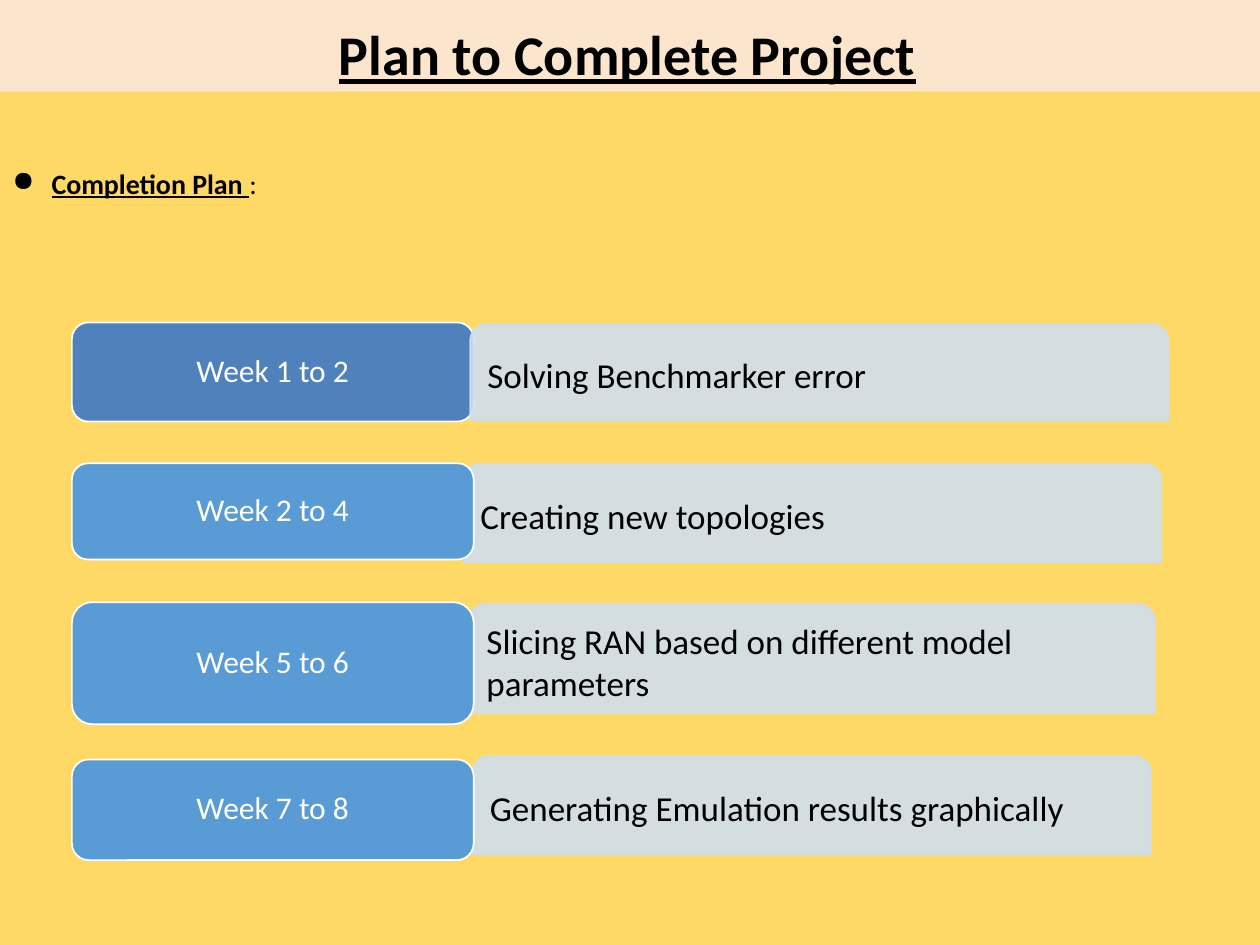
from lxml.etree import SubElement
from pptx import Presentation
from pptx.dml.color import RGBColor
from pptx.enum.shapes import MSO_SHAPE as Preset
from pptx.enum.text import MSO_ANCHOR as Anchor, MSO_AUTO_SIZE as AutoSize, PP_ALIGN as Align
from pptx.oxml.ns import qn
from pptx.util import Cm, Pt

COLORS = {
    "background": "FCE5CD",
    "body": "FFD966",
    "first_week": "4F81BD",
    "week": "599BD5",
    "task": "CFDEEF",
    "dark": "000000",
    "light": "FFFFFF",
}
FONT = "Calibri"
TASK_ALPHA = 89
WEEK_LEFT, WEEK_WIDTH = 1.45, 8.1
ROWS = [
    ("Week 1 to 2", (6.5, 2), "Solving Benchmarker error", (9.48, 6.54, 14.07, 1.94)),
    ("Week 2 to 4", (9.34, 1.94), "Creating new topologies", (9.34, 9.35, 14.07, 1.98)),
    ("Week 5 to 6", (12.14, 2.46), "Slicing RAN based on different model parameters",
     (9.45, 12.17, 13.84, 2.21)),
    ("Week 7 to 8", (15.31, 2.03), "Generating Emulation results graphically",
     (9.53, 15.24, 13.67, 1.98)),
]


def rgb(name):
    """Return the named colour."""
    return RGBColor.from_string(COLORS[name])


def add_run(paragraph, text, size, color, bold=False, underline=False):
    """Append one formatted run."""
    run = paragraph.add_run()
    run.text = text
    font = run.font
    font.name, font.size = FONT, Pt(size)
    font.bold, font.underline = bold, underline
    font.color.rgb = rgb(color)


def set_alpha(fill_format, percent):
    """Make a solid fill partly transparent."""
    color = fill_format._xPr.find(qn("a:solidFill"))[0]
    SubElement(color, qn("a:alpha"), val=str(percent * 1000))


def add_block(slide, preset, box, fill, line=None):
    """Add a filled preset shape in a box given in centimetres."""
    shape = slide.shapes.add_shape(preset, *map(Cm, box))
    shape.shadow.inherit = False
    shape.fill.solid()
    shape.fill.fore_color.rgb = rgb(fill)
    if line:
        shape.line.color.rgb = rgb(line)
        shape.line.width = Pt(1)
    else:
        shape.line.fill.background()
    shape.text_frame.word_wrap = True
    return shape


def add_title(slide, box, text):
    """Place and format the title placeholder."""
    title = slide.shapes.title
    title.left, title.top, title.width, title.height = map(Cm, box)
    frame = title.text_frame
    frame.auto_size = AutoSize.NONE
    frame.vertical_anchor = Anchor.BOTTOM
    paragraph = frame.paragraphs[0]
    paragraph.alignment = Align.CENTER
    paragraph.line_spacing = 0.9
    add_run(paragraph, text, 32, "dark", bold=True, underline=True)


def add_body(slide, box):
    """Add the body panel with its bulleted heading."""
    frame = add_block(slide, Preset.RECTANGLE, box, "body").text_frame
    frame.vertical_anchor = Anchor.TOP
    frame.margin_top = Cm(1.5)
    paragraph = frame.paragraphs[0]
    paragraph.alignment = Align.JUSTIFY
    properties = paragraph._p.get_or_add_pPr()
    properties.set("marL", str(Cm(0.79)))
    properties.set("indent", str(Cm(-0.79)))
    bullet_color = SubElement(properties, qn("a:buClr"))
    SubElement(bullet_color, qn("a:srgbClr"), val=COLORS["dark"])
    SubElement(properties, qn("a:buChar"), char="●")
    add_run(paragraph, "Completion Plan ", 16, "dark", bold=True, underline=True)
    add_run(paragraph, ": ", 16, "dark")


def add_week(slide, box, text, fill):
    """Add the rounded label of a week."""
    shape = add_block(slide, Preset.ROUNDED_RECTANGLE, box, fill, "light")
    frame = shape.text_frame
    frame.vertical_anchor = Anchor.MIDDLE
    paragraph = frame.paragraphs[0]
    paragraph.alignment = Align.CENTER
    paragraph.line_spacing = 0.9
    add_run(paragraph, text, 18, "light")


def add_task(slide, box, text):
    """Add the translucent panel of a task."""
    shape = add_block(slide, Preset.ROUND_2_SAME_RECTANGLE, box, "task", "task")
    set_alpha(shape.fill, TASK_ALPHA)
    set_alpha(shape.line.fill, TASK_ALPHA)
    frame = shape.text_frame
    frame.vertical_anchor = Anchor.MIDDLE
    frame.margin_left = frame.margin_right = Cm(0.25)
    frame.margin_top = frame.margin_bottom = Cm(0.25)
    paragraph = frame.paragraphs[0]
    paragraph.alignment = Align.LEFT
    add_run(paragraph, text, 20, "dark")


def add_plan(slide, rows):
    """Add the rows, with the first task in front of its week."""
    for week, (top, height), task, task_box in rows:
        week_box = (WEEK_LEFT, top, WEEK_WIDTH, height)
        if week == rows[0][0]:
            add_week(slide, week_box, week, "first_week")
            add_task(slide, task_box, task)
        else:
            add_task(slide, task_box, task)
            add_week(slide, week_box, week, "week")


def main():
    """Build and save the presentation."""
    presentation = Presentation()
    presentation.slide_width, presentation.slide_height = Cm(25.4), Cm(19.05)
    slide = presentation.slides.add_slide(presentation.slide_layouts[5])
    slide.background.fill.solid()
    slide.background.fill.fore_color.rgb = rgb("background")
    add_title(slide, (-0.1, -0.08, 25.5, 1.98), "Plan to Complete Project")
    add_body(slide, (0, 1.85, 25.4, 17.35))
    add_plan(slide, ROWS)
    presentation.save("out.pptx")


if __name__ == "__main__":
    main()
